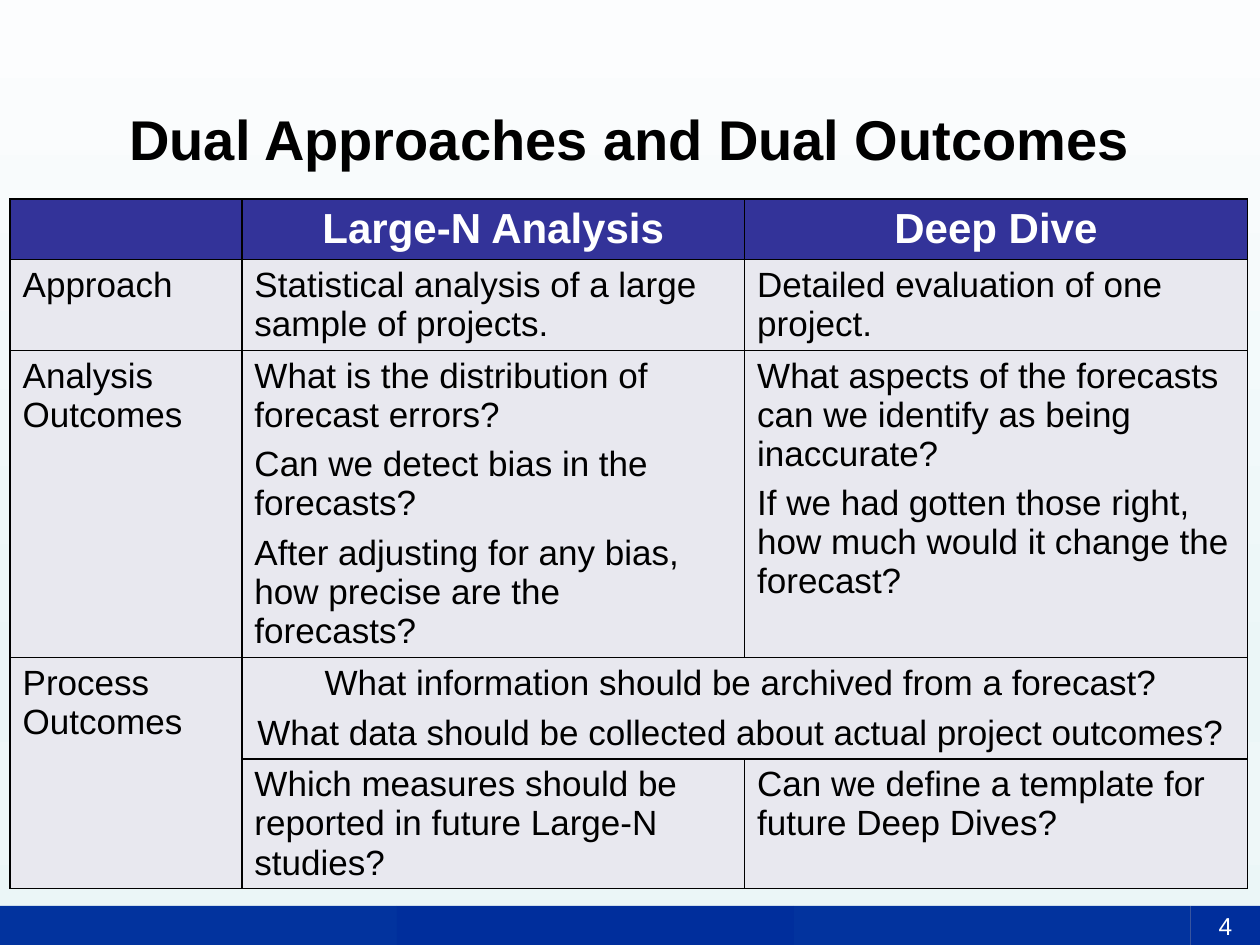
from typing import NamedTuple

from lxml import etree
from pptx import Presentation, util as u
from pptx.dml.color import RGBColor
from pptx.enum import shapes, text
from pptx.oxml import parse_xml
from pptx.oxml.ns import qn

WIDE, HIGH = 10, 7.5
FONT = "Arial"
BLACK, WHITE = "000000", "FFFFFF"
NAVY, PALE = "333399", "E8E8EF"
BLUE, DEEP, MAUVE = "02339E", "002E9C", "605270"
SKY = [(0, "FCFDFE"), (74, "EBF6F7"), (83, "EEF7F8"), (100, "EBF6F7")]
A_NS = "http://schemas.openxmlformats.org/drawingml/2006/main"
LEFT, CENTER = text.PP_ALIGN.LEFT, text.PP_ALIGN.CENTER

TABLE_LEFT, TABLE_TOP = 0.08, 1.58
COLS = [1.84, 3.99, 3.99]
ROWS = [0.48, 0.72, 2.44, 0.8, 1.03]


class Bar(NamedTuple):
    left: float
    top: float
    width: float
    height: float
    fill: str


class Entry(NamedTuple):
    row: int
    col: int
    lines: list[str]
    align: int = LEFT
    after: int = 0
    size: int = 20


THIRD = 3.15
FOOT = 7.19
BARS = [Bar(i * THIRD, FOOT, THIRD, 0.32, fill)
        for i, fill in enumerate([BLUE, DEEP, BLUE])]
BARS.append(Bar(3 * THIRD, FOOT + 0.01, 0.57, 0.32, MAUVE))
NUMBER = Bar(3 * THIRD, FOOT, WIDE - 3 * THIRD, 0.31, DEEP)

ENTRIES = [
    Entry(0, 1, ["Large-N Analysis"], CENTER, size=24),
    Entry(0, 2, ["Deep Dive"], CENTER, size=24),
    Entry(1, 0, ["Approach"]),
    Entry(1, 1, ["Statistical analysis of a large sample of projects."]),
    Entry(1, 2, ["Detailed evaluation of one project."]),
    Entry(2, 0, ["Analysis Outcomes"]),
    Entry(2, 1, ["What is the distribution of forecast errors?",
                 "Can we detect bias in the forecasts?",
                 "After adjusting for any bias, how precise are the forecasts?"],
          after=6),
    Entry(2, 2, ["What aspects of the forecasts can we identify as being inaccurate?",
                 "If we had gotten those right, how much would it change the forecast?"],
          after=6),
    Entry(3, 0, ["Process Outcomes"]),
    Entry(3, 1, ["What information should be archived from a forecast?",
                 "What data should be collected about actual project outcomes?"],
          CENTER, after=6),
    Entry(4, 1, ["Which measures should be reported in future Large-N studies?"]),
    Entry(4, 2, ["Can we define a template for future Deep Dives?"]),
]


def paint(fill, color: str) -> None:
    fill.solid()
    fill.fore_color.rgb = RGBColor.from_string(color)


def write(frame, lines: list[str], size: int, color: str, bold: bool = False,
          align: int = CENTER, after: int = 0) -> None:
    for i, line in enumerate(lines):
        para = frame.add_paragraph() if i else frame.paragraphs[0]
        para.text = line
        para.alignment = align
        para.space_before, para.space_after = u.Pt(0), u.Pt(after)
        para.font.name, para.font.size = FONT, u.Pt(size)
        para.font.bold = bold
        para.font.color.rgb = RGBColor.from_string(color)


def draw_bar(slide, bar: Bar):
    box = [u.Inches(n) for n in bar[:4]]
    shape = slide.shapes.add_shape(shapes.MSO_SHAPE.RECTANGLE, *box)
    shape.shadow.inherit = False
    shape.line.fill.background()
    paint(shape.fill, bar.fill)
    return shape


def shade(slide) -> None:
    """Fill the background with the vertical sky gradient."""
    stops = "".join(f'<a:gs pos="{at * 1000}"><a:srgbClr val="{color}"/></a:gs>'
                    for at, color in SKY)
    fill = slide.background.fill
    fill.gradient()
    old = slide.element.find(".//" + qn("a:gradFill"))
    new = parse_xml(f'<a:gradFill xmlns:a="{A_NS}" rotWithShape="1">'
                    f'<a:gsLst>{stops}</a:gsLst>'
                    '<a:lin ang="5400000" scaled="0"/></a:gradFill>')
    old.getparent().replace(old, new)


def edge(cell) -> None:
    """Give a cell a thin black line on all sides."""
    props = cell._tc.get_or_add_tcPr()
    for i, side in enumerate(["lnL", "lnR", "lnT", "lnB"]):
        line = etree.Element(qn(f"a:{side}"), w=str(u.Pt(1)))
        fill = etree.SubElement(line, qn("a:solidFill"))
        etree.SubElement(fill, qn("a:srgbClr"), val=BLACK)
        props.insert(i, line)


def draw_table(slide) -> None:
    box = [u.Inches(n) for n in (TABLE_LEFT, TABLE_TOP, sum(COLS), sum(ROWS))]
    table = slide.shapes.add_table(len(ROWS), len(COLS), *box).table
    for col, width in zip(table.columns, COLS):
        col.width = u.Inches(width)
    for row, height in zip(table.rows, ROWS):
        row.height = u.Inches(height)
    table.cell(3, 0).merge(table.cell(4, 0))
    table.cell(3, 1).merge(table.cell(3, 2))
    for i in range(len(ROWS)):
        for j in range(len(COLS)):
            cell = table.cell(i, j)
            paint(cell.fill, PALE if i else NAVY)
            edge(cell)
    for item in ENTRIES:
        head = item.row == 0
        write(table.cell(item.row, item.col).text_frame, item.lines, item.size,
              WHITE if head else BLACK, head, item.align, item.after)
    table.cell(3, 1).margin_right = u.Inches(0.16)


def main() -> None:
    deck = Presentation()
    deck.slide_width, deck.slide_height = u.Inches(WIDE), u.Inches(HIGH)
    slide = deck.slides.add_slide(deck.slide_layouts[5])
    shade(slide)
    for bar in BARS:
        draw_bar(slide, bar)

    title = slide.shapes.title
    title.left, title.top = u.Inches(0.36), u.Inches(0.8)
    title.width, title.height = u.Inches(WIDE - 2 * 0.36), u.Inches(0.59)
    title.text_frame.vertical_anchor = text.MSO_ANCHOR.MIDDLE
    write(title.text_frame, ["Dual Approaches and Dual Outcomes"], 32, BLACK, True)

    number = draw_bar(slide, NUMBER).text_frame
    number.vertical_anchor = text.MSO_ANCHOR.MIDDLE
    write(number, ["4"], 14, WHITE)
    draw_table(slide)
    deck.save("out.pptx")


if __name__ == "__main__":
    main()
